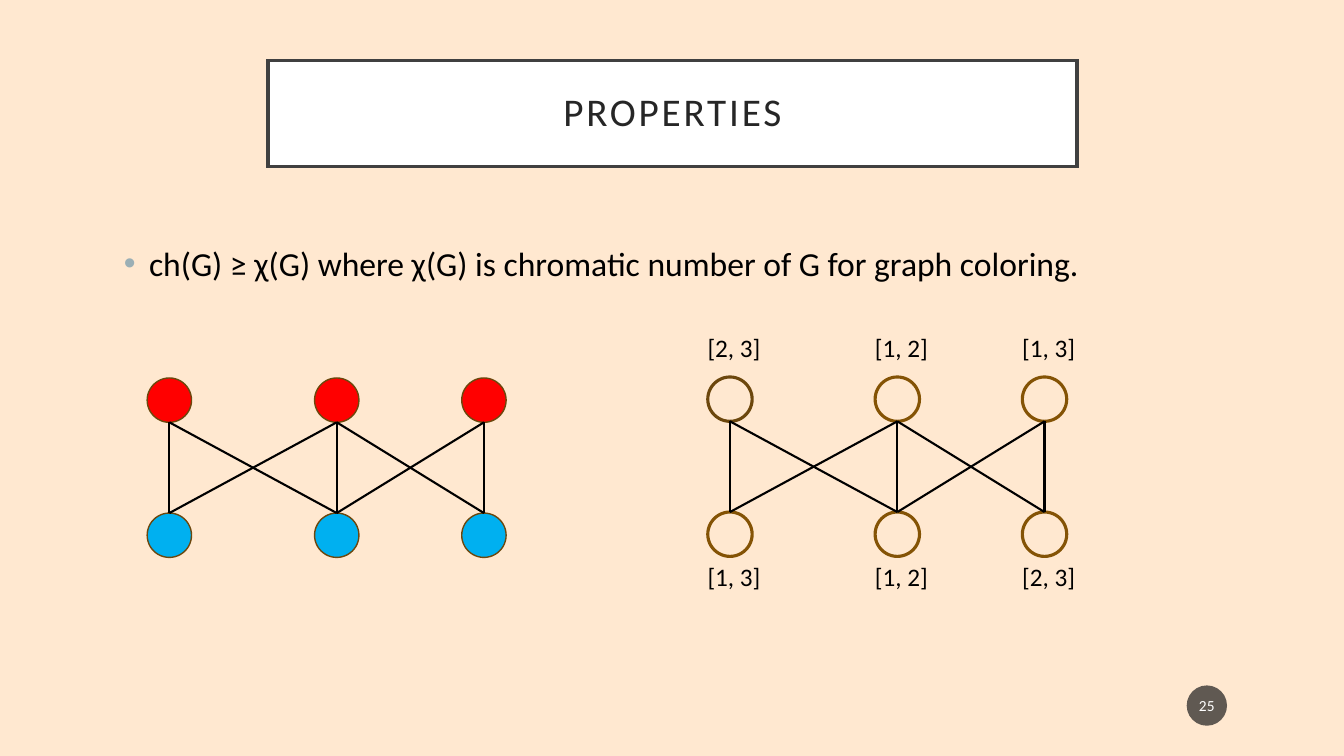
from dataclasses import dataclass

from lxml import etree
from pptx import Presentation
from pptx import util as u
from pptx.dml.color import RGBColor
from pptx.enum import shapes, text
from pptx.oxml.ns import qn

EMU_PER_PX = 9144


@dataclass(frozen=True)
class Theme:
    font: str = "Calibri"
    background: str = "FFE8D0"
    white: str = "FFFFFF"
    black: str = "000000"
    title_ink: str = "262626"
    title_border: str = "404040"
    bullet: str = "9BAFB5"
    badge: str = "1D1D1D"
    red: str = "FF0000"
    blue: str = "00B0F0"
    dark_brown: str = "6C470D"
    brown: str = "845305"
    title_size: int = 28
    body_size: int = 24
    label_size: int = 18
    number_size: int = 11


THEME = Theme()

NODE = 44
COLUMNS = (0, 166, 312)
ROW_STEP = 134
EDGES = ((0, 0), (0, 1), (1, 0), (1, 1), (1, 2), (2, 1), (2, 2))


def px(*lengths):
    return [u.Emu(length * EMU_PER_PX) for length in lengths]


def rgb(colour):
    return RGBColor.from_string(colour)


def add_outline(parent, kind, box, fill=None, line=None, weight=1):
    outline = parent.add_shape(kind, *px(*box))
    outline.shadow.inherit = False
    if fill:
        outline.fill.solid()
        outline.fill.fore_color.rgb = rgb(fill)
    else:
        outline.fill.background()
    if line:
        outline.line.color.rgb = rgb(line)
        outline.line.width = u.Pt(weight)
    else:
        outline.line.fill.background()
    return outline


def write(holder, words, size, colour, align=text.PP_ALIGN.LEFT):
    paragraph = holder.text_frame.paragraphs[0]
    paragraph.text = words
    paragraph.alignment = align
    paragraph.font.size = u.Pt(size)
    paragraph.font.name = THEME.font
    paragraph.font.color.rgb = rgb(colour)
    return paragraph


def set_insets(frame, horizontal, vertical):
    frame.margin_left = frame.margin_right = px(horizontal)[0]
    frame.margin_top = frame.margin_bottom = px(vertical)[0]
    frame.vertical_anchor = text.MSO_ANCHOR.MIDDLE


def add_title(slide, words):
    title = add_outline(slide.shapes, shapes.MSO_SHAPE.RECTANGLE,
                        (266, 60, 802, 105), THEME.white, THEME.title_border, 2.5)
    etree.SubElement(title.line._ln, qn("a:miter"), lim="800000")
    set_insets(title.text_frame, 20, 20)
    heading = write(title, words, THEME.title_size, THEME.title_ink, text.PP_ALIGN.CENTER)
    heading.line_spacing = 0.9
    heading.runs[0].font._element.set("spc", "200")


def add_statement(slide, words):
    statement = slide.shapes.add_textbox(*px(88, 236, 1077, 514))
    statement.text_frame.word_wrap = True
    properties = statement.text_frame.paragraphs[0]._p.get_or_add_pPr()
    indent, hanging = px(50, -25)
    properties.set("marL", str(indent))
    properties.set("indent", str(hanging))
    bullet_colour = etree.SubElement(properties, qn("a:buClr"))
    etree.SubElement(bullet_colour, qn("a:srgbClr"), val=THEME.bullet)
    etree.SubElement(properties, qn("a:buFont"), typeface="Arial")
    etree.SubElement(properties, qn("a:buChar"), char="•")
    write(statement, words, THEME.body_size, THEME.black)


def add_slide_number(slide, number):
    badge = add_outline(slide.shapes, shapes.MSO_SHAPE.OVAL,
                        (1177, 680, 40, 40), THEME.badge)
    solid = badge.fill._xPr.find(qn("a:solidFill"))
    etree.SubElement(solid[0], qn("a:alpha"), val="70000")
    set_insets(badge.text_frame, 2, 5)
    write(badge, number, THEME.number_size, THEME.white, text.PP_ALIGN.CENTER)


def add_edge(parent, start, end):
    edge = parent.add_connector(shapes.MSO_CONNECTOR.STRAIGHT, *px(*start, *end))
    edge.line.color.rgb = rgb(THEME.black)
    edge.line.width = u.Pt(1.5)
    etree.SubElement(edge._element.spPr, qn("a:effectLst"))


def add_label(parent, left, top, words):
    label = parent.add_textbox(*px(left, top, 72, 40))
    label.text_frame.word_wrap = False
    set_insets(label.text_frame, 0, 5)
    write(label, words, THEME.label_size, THEME.black, text.PP_ALIGN.CENTER)


def add_graph(slide, left, top, fills, outlines, weight, labels=()):
    graph = slide.shapes.add_group_shape().shapes
    for row in range(2):
        for column, offset in enumerate(COLUMNS):
            add_outline(graph, shapes.MSO_SHAPE.OVAL,
                        (left + offset, top + row * ROW_STEP, NODE, NODE),
                        fills[row], outlines[row][column], weight)
    centres = [left + offset + NODE // 2 for offset in COLUMNS]
    for upper, lower in EDGES:
        add_edge(graph, (centres[upper], top + NODE), (centres[lower], top + ROW_STEP))
    for row, row_labels in enumerate(labels):
        label_top = top + (-49, 178)[row]
        for centre, words in zip(centres, row_labels):
            add_label(graph, centre - 32, label_top, words)


def main():
    deck = Presentation()
    deck.slide_width, deck.slide_height = px(1333, 750)
    slide = deck.slides.add_slide(deck.slide_layouts[6])
    slide.background.fill.solid()
    slide.background.fill.fore_color.rgb = rgb(THEME.background)

    add_title(slide, "PROPERTIES")
    add_statement(slide, "ch(G) ≥ χ(G) where χ(G) is chromatic number of G for graph coloring.")
    add_slide_number(slide, "25")

    add_graph(slide, 146, 375, (THEME.red, THEME.blue),
              [[THEME.dark_brown] * 3] * 2, 1)
    add_graph(slide, 702, 374, (None, None),
              [[THEME.dark_brown, THEME.brown, THEME.brown], [THEME.brown] * 3], 2.25,
              [["[2, 3]", "[1, 2]", "[1, 3]"], ["[1, 3]", "[1, 2]", "[2, 3]"]])

    deck.save("out.pptx")


if __name__ == "__main__":
    main()
